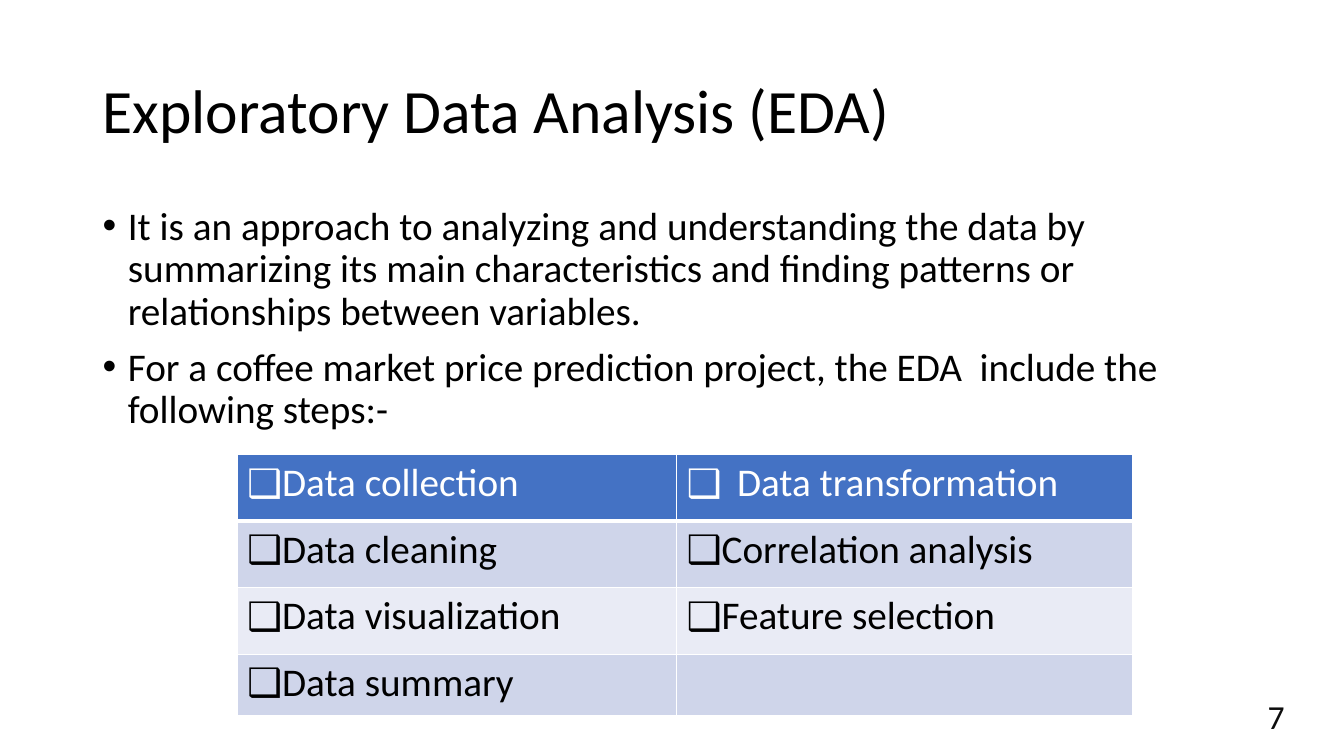
from lxml.etree import SubElement
from pptx import Presentation
from pptx.dml.color import RGBColor
from pptx.enum.text import MSO_ANCHOR, PP_ALIGN
from pptx.oxml.ns import qn
from pptx.util import Inches, Pt

BLACK = RGBColor(0x00, 0x00, 0x00)
WHITE = RGBColor(0xFF, 0xFF, 0xFF)
NUMBER_GREY = RGBColor(0x0D, 0x0D, 0x0D)
HEADER_BLUE = RGBColor(0x44, 0x72, 0xC4)
BANDS = (RGBColor(0xE9, 0xEB, 0xF5), RGBColor(0xCF, 0xD5, 0xEA))

FONT = "Calibri"
TITLE = "Exploratory Data Analysis (EDA)"
POINTS = [
    "It is an approach to analyzing and understanding the data by summarizing "
    "its main characteristics and finding patterns or relationships between variables.",
    "For a coffee market price prediction project, the EDA  include the following steps:-",
]
STEPS = [
    ("Data collection", "Data transformation"),
    ("Data cleaning", "Correlation analysis"),
    ("Data visualization", "Feature selection"),
    ("Data summary", ""),
]
PAGE = "7"

WIDTH, HEIGHT = 13.33, 7.5
MARGIN = 0.92
CONTENT_WIDTH = WIDTH - 2 * MARGIN
COLUMNS = (4.36, 4.52)
ROWS = (0.66, 0.66, 0.66, 0.61)
STEP_INDENT, WIDE_INDENT = 0.31, 0.5


def add_run(p, text, size, color):
    r = p.add_run()
    r.text = text
    r.font.size = Pt(size)
    r.font.name = FONT
    r.font.color.rgb = color


def add_bullet(p, char, indent):
    """Give the paragraph a bullet with a hanging indent in inches."""
    pPr = p._p.get_or_add_pPr()
    pPr.set("marL", str(Inches(indent)))
    pPr.set("indent", str(-Inches(indent)))
    SubElement(pPr, qn("a:buFont"), typeface="Arial")
    SubElement(pPr, qn("a:buChar"), char=char)


def add_text_box(slide, left, top, width, height, anchor):
    box = slide.shapes.add_textbox(*map(Inches, (left, top, width, height)))
    tf = box.text_frame
    tf.word_wrap = True
    tf.vertical_anchor = anchor
    return tf


def set_borders(cell, top, bottom):
    """Draw white cell borders; top and bottom are widths in points."""
    tcPr = cell._tc.get_or_add_tcPr()
    for side, width in (("L", 1), ("R", 1), ("T", top), ("B", bottom)):
        ln = SubElement(tcPr, qn(f"a:ln{side}"), w=str(Pt(width)))
        fill = SubElement(ln, qn("a:solidFill"))
        SubElement(fill, qn("a:srgbClr"), val=str(WHITE))


def add_steps_table(slide):
    table = slide.shapes.add_table(
        len(ROWS), len(COLUMNS), Inches(2.35), Inches(4.51),
        Inches(sum(COLUMNS)), Inches(sum(ROWS))).table
    for column, width in zip(table.columns, COLUMNS):
        column.width = Inches(width)
    for i, (height, steps) in enumerate(zip(ROWS, STEPS)):
        table.rows[i].height = Inches(height)
        for j, step in enumerate(steps):
            cell = table.cell(i, j)
            set_borders(cell, 3 if i == 1 else 1, 3 if i == 0 else 1)
            cell.fill.solid()
            cell.fill.fore_color.rgb = BANDS[i % 2] if i else HEADER_BLUE
            if step:
                p = cell.text_frame.paragraphs[0]
                add_bullet(p, "❑", WIDE_INDENT if (i, j) == (0, 1) else STEP_INDENT)
                add_run(p, step, 28, BLACK if i else WHITE)
                p.runs[0].font.bold = False


def main():
    prs = Presentation()
    prs.slide_width, prs.slide_height = Inches(WIDTH), Inches(HEIGHT)
    slide = prs.slides.add_slide(prs.slide_layouts[6])

    tf = add_text_box(slide, MARGIN, 0.4, CONTENT_WIDTH, 1.45, MSO_ANCHOR.MIDDLE)
    p = tf.paragraphs[0]
    p.line_spacing = 0.9
    add_run(p, TITLE, 44, BLACK)

    tf = add_text_box(slide, MARGIN, 2, CONTENT_WIDTH, 5.28, MSO_ANCHOR.TOP)
    for i, point in enumerate(POINTS):
        p = tf.add_paragraph() if i else tf.paragraphs[0]
        p.line_spacing = 0.9
        p.space_before = Pt(10)
        add_bullet(p, "•", 0.25)
        add_run(p, point, 28, BLACK)

    add_steps_table(slide)

    tf = add_text_box(slide, 11.35, 6.9, 1.49, 0.4, MSO_ANCHOR.MIDDLE)
    p = tf.paragraphs[0]
    p.alignment = PP_ALIGN.RIGHT
    add_run(p, PAGE, 24, NUMBER_GREY)

    prs.save("out.pptx")


if __name__ == "__main__":
    main()
